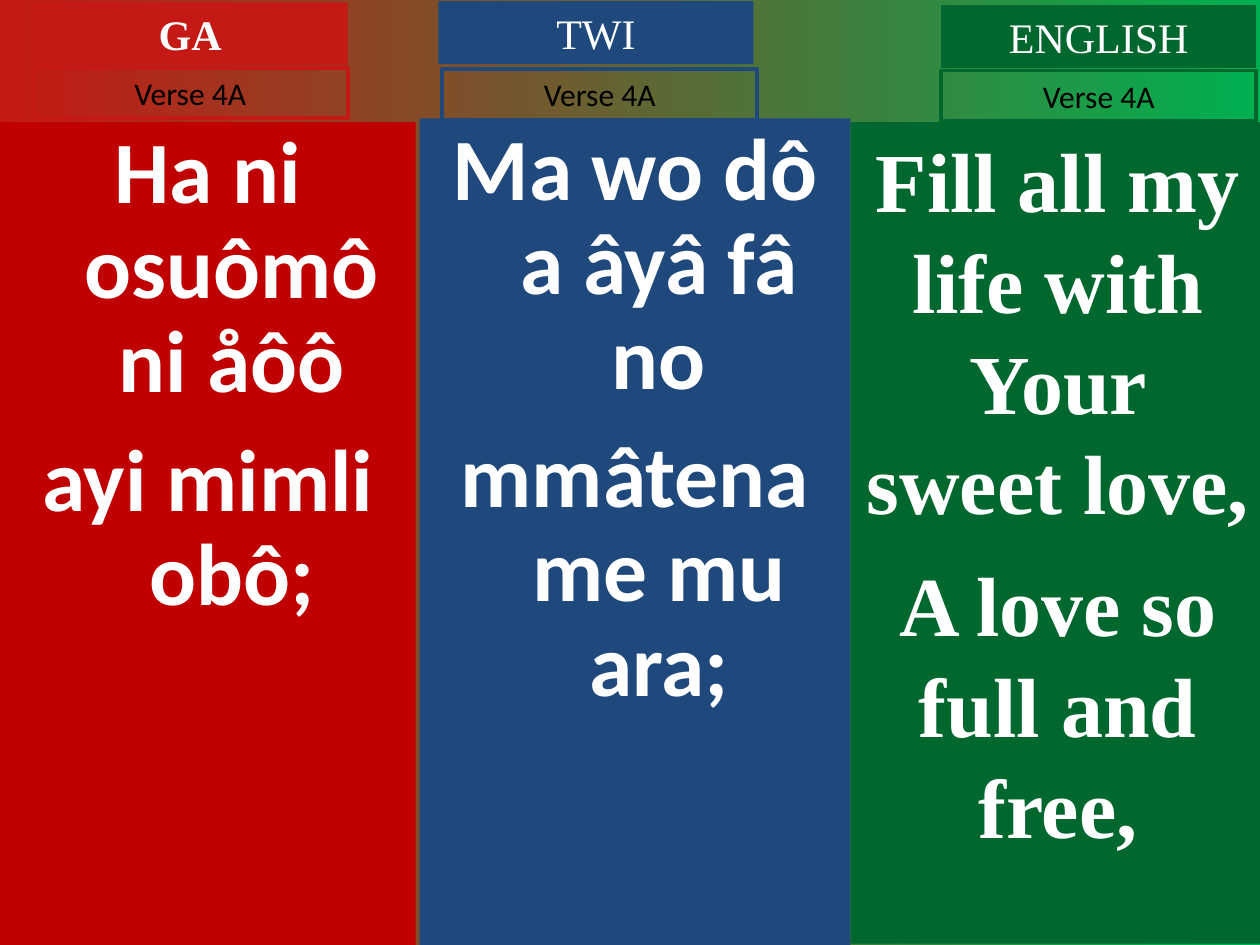
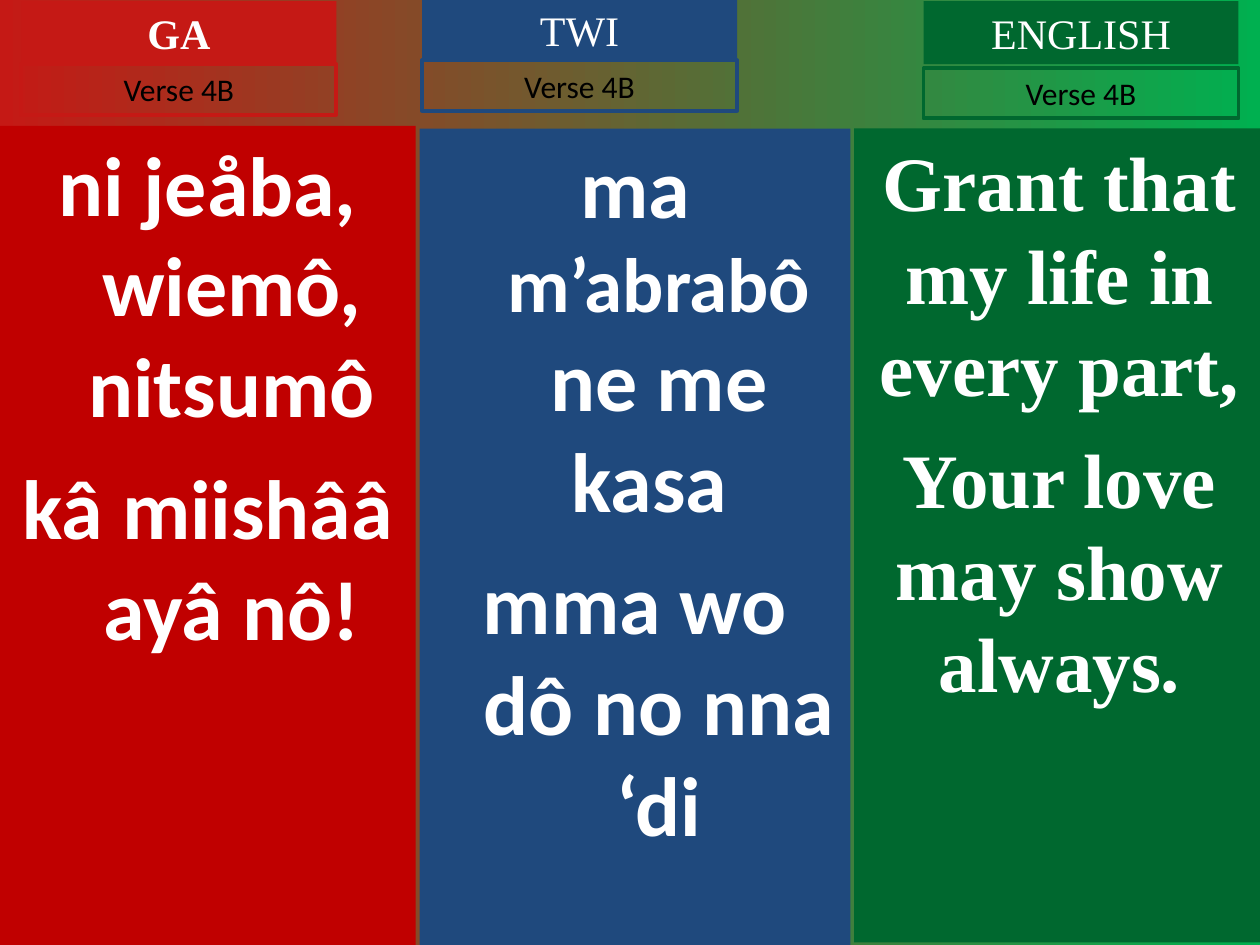
from pptx import Presentation
from pptx.dml.color import RGBColor
from pptx.enum.shapes import MSO_SHAPE
from pptx.enum.text import MSO_ANCHOR, MSO_AUTO_SIZE, PP_ALIGN
from pptx.util import Inches, Pt

RED, DEEP_RED, BLUE, GREEN = "C51915", "C00000", "1F497D", "00682F"
BRIGHT_GREEN, WHITE, BLACK = "00B050", "FFFFFF", "000000"
SANS, SERIF = "Calibri", "Times New Roman"

LANGUAGES = [
    {"name": "GA", "bold": True, "tint": RED, "panel": DEEP_RED, "face": SANS, "hanging": 0.38},
    {"name": "TWI", "bold": False, "tint": BLUE, "panel": BLUE, "face": SANS, "hanging": 0.38},
    {"name": "ENGLISH", "bold": False, "tint": GREEN, "panel": GREEN, "face": SERIF, "hanging": 0},
]

VERSES = [
    ("Verse 4A", [
        {"panel": (0, 0.97, 3.3, 6.53), "left": 0.26, "tops": (0.02, 0.54),
         "size": 50, "leading": 0.9, "gap": 13.5,
         "lines": ["Ha ni osuômô ni åôô", "ayi mimli obô;"]},
        {"panel": (3.33, 0.94, 3.42, 6.56), "left": 3.48, "label_left": 3.51, "tops": (0.01, 0.55),
         "size": 50, "leading": 0.9, "gap": 13.5,
         "lines": ["Ma wo dô a âyâ fâ no", "mmâtena me mu ara;"]},
        {"panel": (6.75, 0.97, 3.29, 6.52), "left": 7.47, "tops": (0.04, 0.56),
         "size": 48, "gap": 12,
         "lines": ["Fill all my life with Your sweet love,", "A love so full and free,"]},
    ]),
    ("Verse 4B", [
        {"panel": (0, 1, 3.3, 6.5), "left": 0.17, "tops": (0.01, 0.51),
         "size": 48, "gap": 12,
         "lines": ["ni jeåba, wiemô, nitsumô", "kâ miishââ ayâ nô!"]},
        {"panel": (3.33, 1.02, 3.42, 6.48), "left": 3.35, "tops": (-0.01, 0.48),
         "size": 48, "gap": 12,
         "lines": [["ma ", ("m’abrabô ", 44), "ne me kasa "], "mma wo dô no nna ‘di"]},
        {"panel": (6.78, 1.02, 3.26, 6.46), "left": 7.33, "tops": (0.01, 0.54),
         "size": 44, "gap": 11,
         "lines": ["Grant that my life in every part,", "Your love may show always."]},
    ]),
]


def color(value):
    """Turn a hex string into a colour."""
    return RGBColor.from_string(value)


def apply(target, values):
    """Set every attribute named in a dict of format values."""
    for name, value in values.items():
        setattr(target, name, value)


class HymnDeck:
    """Hold the style of the hymn and the current slide."""

    def __init__(self):
        """Open an empty deck."""
        self.deck = Presentation()
        apply(self.deck, {"slide_width": Inches(10), "slide_height": Inches(7.5)})
        self.page = None

    def new_page(self):
        """Add a page with the red to green background."""
        self.page = self.deck.slides.add_slide(self.deck.slide_layouts[6])
        fill = self.page.background.fill
        fill.gradient()
        fill.gradient_angle = 0
        for stop, value in zip(fill.gradient_stops, (RED, BRIGHT_GREEN)):
            stop.color.rgb = color(value)

    def rectangle(self, area, fill=None, line=None):
        """Add a rectangle, either filled or outlined."""
        box = self.page.shapes.add_shape(MSO_SHAPE.RECTANGLE, *map(Inches, area))
        box.shadow.inherit = False
        if fill:
            box.fill.solid()
            box.fill.fore_color.rgb = color(fill)
        else:
            box.fill.background()
        if line:
            box.line.color.rgb = color(line)
            box.line.width = Pt(2.25)
        else:
            box.line.fill.background()
        apply(box.text_frame, {"word_wrap": True, "vertical_anchor": MSO_ANCHOR.TOP})
        return box

    def add_span(self, para, text, size, face, ink, bold=False):
        """Add a formatted span to a centred paragraph."""
        para.alignment = PP_ALIGN.CENTER
        span = para.add_run()
        span.text = text
        apply(span.font, {"size": Pt(size), "name": face, "bold": bold})
        span.font.color.rgb = color(ink)

    def heading(self, language, column):
        """Add the language name above a column."""
        box = self.rectangle((column["left"], column["tops"][0], 2.5, 0.5), fill=language["tint"])
        box.text_frame.auto_size = MSO_AUTO_SIZE.SHAPE_TO_FIT_TEXT
        self.add_span(box.text_frame.paragraphs[0], language["name"], 24, SERIF, WHITE, language["bold"])

    def verse_label(self, language, column, verse):
        """Add the outlined verse number under a heading."""
        left = column.get("label_left", column["left"])
        box = self.rectangle((left, column["tops"][1], 2.5, 0.4), line=language["tint"])
        box.text_frame.auto_size = MSO_AUTO_SIZE.SHAPE_TO_FIT_TEXT
        self.add_span(box.text_frame.paragraphs[0], verse, 18, SANS, BLACK)

    def lyrics(self, language, column):
        """Add the coloured panel with the words of the verse."""
        frame = self.rectangle(column["panel"], fill=language["panel"]).text_frame
        hanging = Inches(language["hanging"])
        for index, line in enumerate(column["lines"]):
            para = frame.add_paragraph() if index else frame.paragraphs[0]
            apply(para, {"line_spacing": column.get("leading", 1.0),
                         "space_before": Pt(column["gap"] if index else 0)})
            if hanging:
                properties = para._p.get_or_add_pPr()
                properties.set("marL", str(hanging))
                properties.set("indent", str(-hanging))
            for piece in [line] if isinstance(line, str) else line:
                text, size = (piece, column["size"]) if isinstance(piece, str) else piece
                self.add_span(para, text, size, language["face"], WHITE, True)


def main():
    """Build one page for each half verse."""
    hymn = HymnDeck()
    for verse, columns in VERSES:
        hymn.new_page()
        for language, column in zip(LANGUAGES, columns):
            hymn.lyrics(language, column)
            hymn.heading(language, column)
            hymn.verse_label(language, column, verse)
    hymn.deck.save("out.pptx")


if __name__ == "__main__":
    main()
